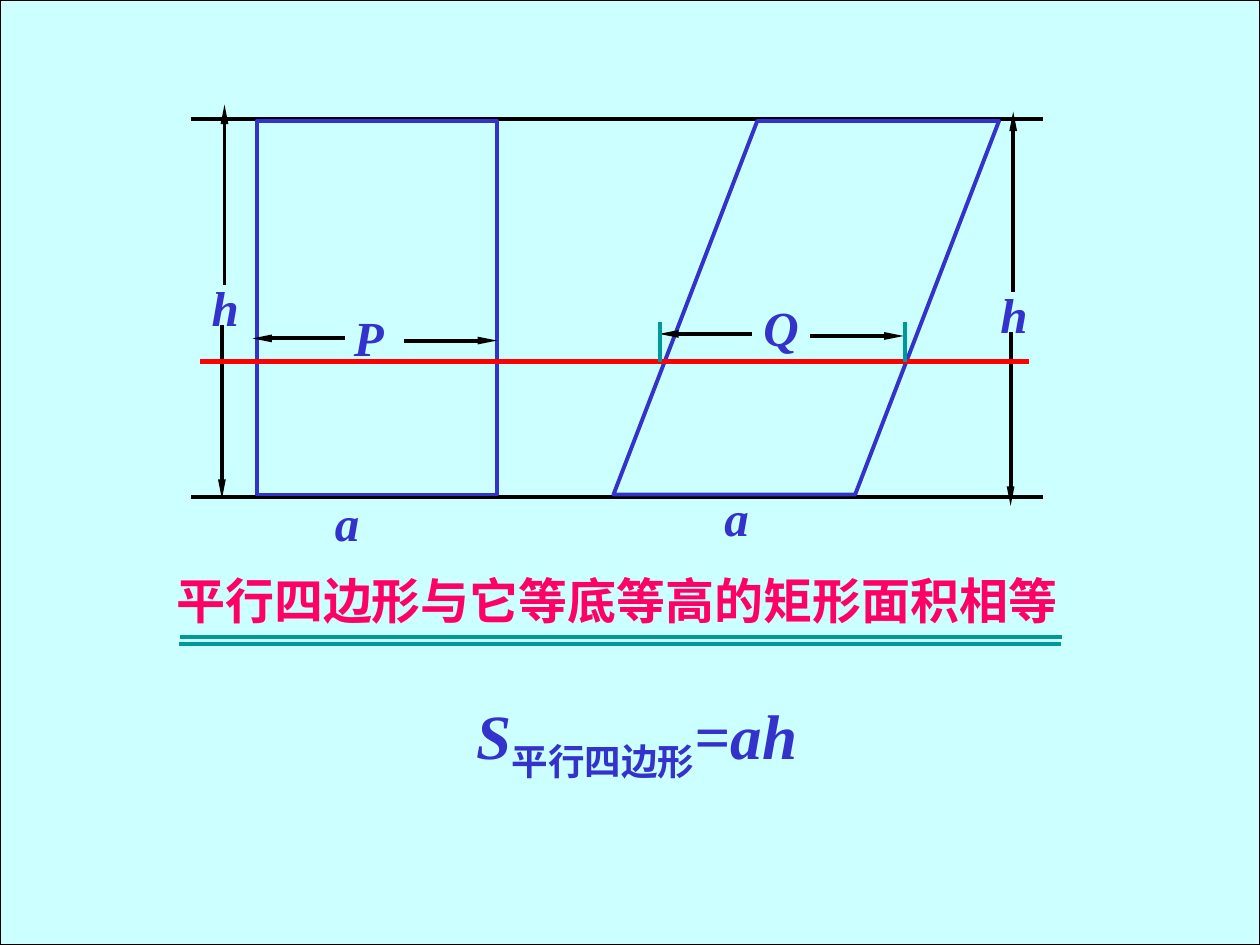
from dataclasses import dataclass

from lxml.etree import SubElement
from pptx import Presentation
from pptx.dml.color import RGBColor
from pptx.enum.shapes import MSO_CONNECTOR, MSO_SHAPE
from pptx.enum.text import MSO_AUTO_SIZE, PP_ALIGN
from pptx.oxml.ns import qn
from pptx.util import Pt


@dataclass(frozen=True)
class Theme:
    font: str = "Times New Roman"
    background: str = "CCFFFF"
    ink: str = "000000"
    blue: str = "3333CC"
    teal: str = "009999"
    red: str = "FF0000"
    pink: str = "FF0066"
    body_size: float = 28
    formula_size: float = 36
    line_width: float = 2.25
    cut_width: float = 3


THEME = Theme()


def color(code):
    return RGBColor.from_string(code)


def add_line(slide, start, end, line_color=THEME.ink, width=THEME.line_width, arrow=False):
    connector = slide.shapes.add_connector(
        MSO_CONNECTOR.STRAIGHT, *(Pt(value) for value in (*start, *end)))
    connector.line.color.rgb = color(line_color)
    connector.line.width = Pt(width)
    if arrow:
        SubElement(connector.line._get_or_add_ln(), qn("a:tailEnd"),
                   type="triangle", w="sm", len="lg")
    SubElement(connector._element.spPr, qn("a:effectLst"))
    return connector


def add_figure(slide, kind, box, fill=None, line_color=THEME.blue, width=THEME.line_width):
    shape = slide.shapes.add_shape(kind, *(Pt(value) for value in box))
    shape.shadow.inherit = False
    if fill:
        shape.fill.solid()
        shape.fill.fore_color.rgb = color(fill)
    else:
        shape.fill.background()
    shape.line.color.rgb = color(line_color)
    shape.line.width = Pt(width)
    return shape


def add_run(paragraph, text, size=THEME.body_size, text_color=THEME.blue, italic=True, baseline=0):
    """Add bold text; baseline is a percentage, negative for a subscript."""
    run = paragraph.add_run()
    run.text = text
    font = run.font
    font.name, font.size = THEME.font, Pt(size)
    font.bold, font.italic = True, italic
    font.color.rgb = color(text_color)
    if baseline:
        run._r.get_or_add_rPr().set("baseline", str(baseline * 1000))


def add_text(slide, box, *pieces, align=PP_ALIGN.LEFT, wrap=True, **style):
    """Add one paragraph; each piece is (text, changes to the shared style)."""
    shape = slide.shapes.add_textbox(*(Pt(value) for value in box))
    frame = shape.text_frame
    frame.word_wrap = wrap
    frame.auto_size = MSO_AUTO_SIZE.SHAPE_TO_FIT_TEXT
    paragraph = frame.paragraphs[0]
    paragraph.alignment = align
    for text, changes in pieces:
        add_run(paragraph, text, **{**style, **changes})
    return shape


def add_label(slide, text, left, top, width, wrap=False):
    add_text(slide, (left, top, width, 41), (text, {}), wrap=wrap)


def add_height(slide, x, y):
    """Mark the height h, with its label box at x, y."""
    add_label(slide, "h", x, y, 29.5)
    add_line(slide, (x + 13, y + 31), (x + 13, y + 130.3), arrow=True)
    add_line(slide, (x + 14.5, y + 8), (x + 14.5, y - 95), arrow=True)


def add_section_width(slide, text, x, y, label_left, label_top, label_width):
    """Mark the length of a cut, its left arrow tip at x, y."""
    add_label(slide, text, label_left, label_top, label_width)
    add_line(slide, (x + 86.4, y + 1.2), (x + 139.9, y + 1.2), arrow=True)
    add_line(slide, (x + 53.2, y), (x, y), arrow=True)


def add_diagram(slide):
    top, bottom, cut = 67.9, 283.9, 206.6
    for y in (top, bottom):
        add_line(slide, (109.4, y), (596.2, y))
    add_figure(slide, MSO_SHAPE.RECTANGLE, (146.7, 69.1, 137.4, 213.5))
    slanted = add_figure(slide, MSO_SHAPE.PARALLELOGRAM, (350.6, 69.1, 220.3, 213.5))
    slanted.adjustments[0] = 0.385

    add_label(slide, "a", 184.3, 278, 40.3, wrap=True)
    add_label(slide, "a", 406.8, 275, 40.3, wrap=True)
    add_height(slide, 113.8, 154.8)
    add_height(slide, 564.5, 158.8)

    add_line(slide, (114.5, cut), (587.8, cut), THEME.red, THEME.cut_width)
    add_section_width(slide, "P", 144.2, 193.4, 195.1, 172.1, 31.7)
    add_section_width(slide, "Q", 376.6, 190.8, 429.1, 166.7, 34.6)
    for x in (377.3, 517.4):
        add_line(slide, (x, 184), (x, cut), THEME.teal)


def add_conclusion(slide):
    add_text(slide, (87.8, 322.6, 529.2, 41), ("平行四边形与它等底等高的矩形面积相等", {}),
             align=PP_ALIGN.CENTER, text_color=THEME.pink, italic=False)
    for x, y in ((102.7, 364), (102.2, 367.8)):
        add_line(slide, (x, y), (x + 504, y), THEME.teal)
    add_text(slide, (208.1, 394.6, 311.8, 56.9),
             ("S", {}),
             ("平行四边形", {"italic": False, "baseline": -25}),
             ("=", {"italic": False}),
             ("ah", {}),
             align=PP_ALIGN.CENTER, size=THEME.formula_size)


def main():
    presentation = Presentation()
    presentation.slide_width, presentation.slide_height = Pt(720), Pt(540)
    slide = presentation.slides.add_slide(presentation.slide_layouts[6])
    add_figure(slide, MSO_SHAPE.RECTANGLE, (0, 0, 720, 540),
               fill=THEME.background, line_color=THEME.ink, width=1)
    add_diagram(slide)
    add_conclusion(slide)
    presentation.save("out.pptx")


if __name__ == "__main__":
    main()
